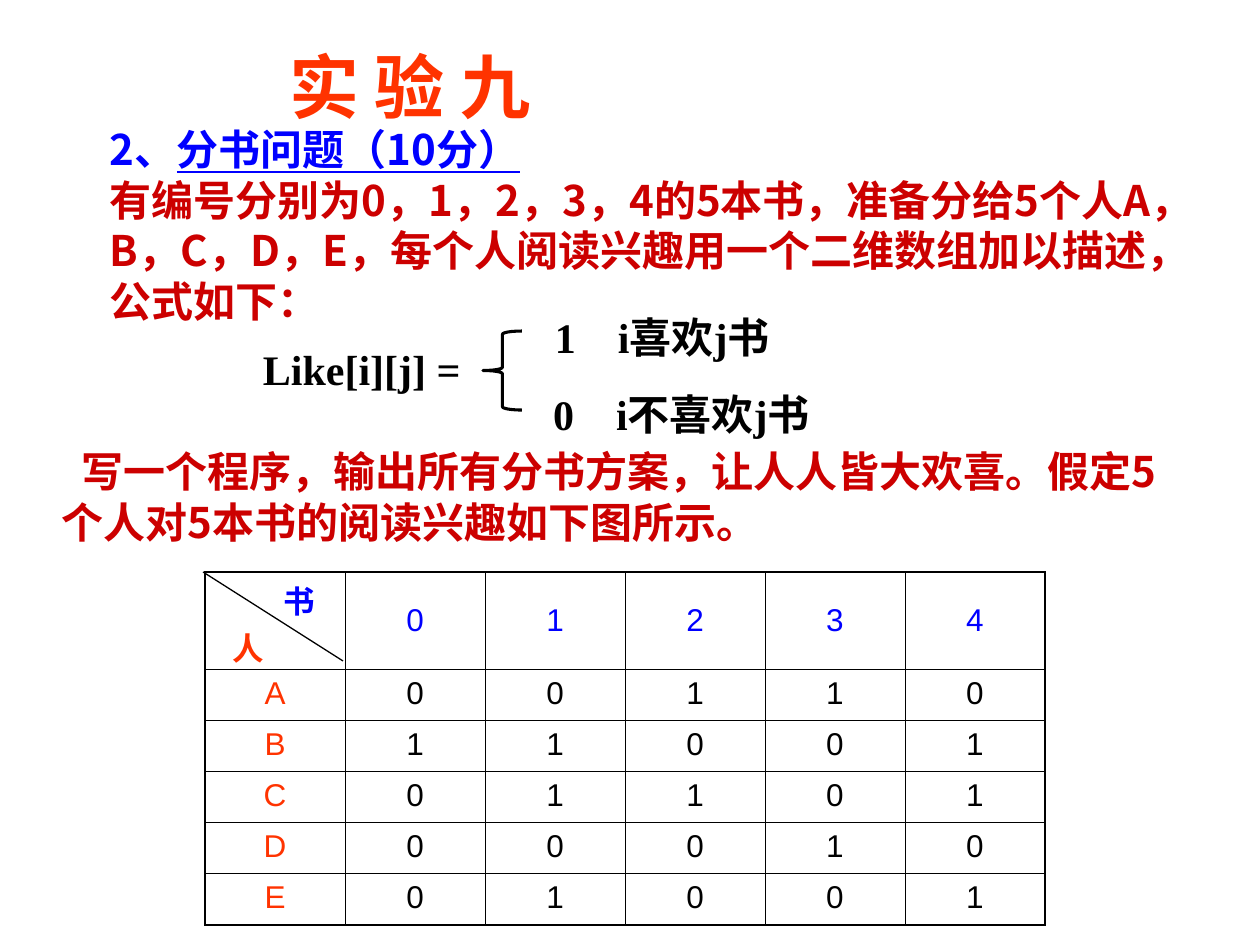
from dataclasses import dataclass
from typing import Any, NamedTuple

from lxml import etree
from pptx import Presentation
from pptx import util as u
from pptx.dml.color import RGBColor
from pptx.enum import shapes, text
from pptx.oxml.ns import qn

SCALE = 914400 / 126


@dataclass(frozen=True)
class Theme:
    """Colours, fonts and type sizes of the slide."""

    orange: str = "FF3300"
    blue: str = "0000FF"
    red: str = "CC0000"
    black: str = "000000"
    heading: str = "Noto Sans CJK SC"
    formula: str = "Times New Roman"
    grid: str = "Arial"
    title_size: int = 40
    body_size: int = 24
    cell_size: int = 18
    thin: float = 0.45
    thick: float = 1.08


T = Theme()


class Box(NamedTuple):
    """A rectangle in px."""

    x: int
    y: int
    w: int
    h: int


class Case(NamedTuple):
    """One branch of the formula."""

    box: Box
    words: str


CASES = [
    Case(Box(555, 311, 255, 52), "1\ti喜欢j书"),
    Case(Box(553, 388, 356, 52), "0\ti不喜欢j书"),
]
BOOKS = "01234"
LIKES = {"A": "00110", "B": "11001", "C": "01101", "D": "00010", "E": "01001"}


def px(n: float) -> u.Emu:
    """Turn px into EMU."""
    return u.Emu(round(n * SCALE))


def emus(box: Box) -> list[u.Emu]:
    """Turn every length of a box into EMU."""
    return [px(n) for n in box]


def add_run(p: Any, words: str, *, size: int = T.body_size, color: str = T.black,
            font: str = T.heading, bold: bool = True, underline: bool = False) -> None:
    """Add a formatted run to a paragraph."""
    r = p.add_run()
    r.text = words
    r.font.size, r.font.bold, r.font.underline = u.Pt(size), bold, underline
    r.font.name = font
    r.font.color.rgb = RGBColor.from_string(color)
    ea = etree.Element(qn("a:ea"), typeface=T.heading)
    r.font._element.find(qn("a:latin")).addnext(ea)


def set_paragraph(p: Any, *, line: float = 29, indent: int = 0, tab: int = 0,
                  before: float = 0, align: Any = text.PP_ALIGN.LEFT) -> None:
    """Set indent, tab stop, spacing and alignment of an unbulleted paragraph."""
    ppr = p._p.get_or_add_pPr()
    ppr.set("marL", "0")
    ppr.set("indent", str(px(indent)))
    etree.SubElement(ppr, qn("a:buNone"))
    if tab:
        tabs = etree.SubElement(ppr, qn("a:tabLst"))
        etree.SubElement(tabs, qn("a:tab"), pos=str(px(tab)), algn="l")
    p.line_spacing, p.space_before, p.alignment = u.Pt(line), u.Pt(before), align


def prepare_frame(sp: Any, box: Box) -> Any:
    """Place a text shape, clear its insets and return its text frame."""
    sp.left, sp.top, sp.width, sp.height = emus(box)
    tf = sp.text_frame
    tf.margin_left = tf.margin_right = tf.margin_top = tf.margin_bottom = 0
    tf.word_wrap, tf.auto_size = True, text.MSO_AUTO_SIZE.NONE
    tf.vertical_anchor = text.MSO_ANCHOR.TOP
    return tf


def add_text(parent: Any, box: Box, words: str, *, indent: int = 0, tab: int = 0,
             **fmt: Any) -> None:
    """Add a text box with one paragraph."""
    p = prepare_frame(parent.add_textbox(*emus(box)), box).paragraphs[0]
    set_paragraph(p, indent=indent, tab=tab)
    add_run(p, words, **fmt)


def fill_placeholders(s: Any) -> None:
    """Write the title and the problem statement."""
    p = prepare_frame(s.shapes.title, Box(289, 43, 500, 84)).paragraphs[0]
    set_paragraph(p, line=48)
    add_run(p, "实 验 九", size=T.title_size, color=T.orange)

    tf = prepare_frame(s.placeholders[1], Box(110, 123, 1092, 205))
    p = tf.paragraphs[0]
    set_paragraph(p)
    add_run(p, "2、", color=T.blue)
    add_run(p, "分书问题（10分）", color=T.blue, underline=True)
    p = tf.add_paragraph()
    set_paragraph(p)
    add_run(p, "有编号分别为0，1，2，3，4的5本书，准备分给5个人A，B，C，D，E，"
               "每个人阅读兴趣用一个二维数组加以描述，公式如下：", color=T.red)


def add_formula(s: Any) -> None:
    """Draw the grouped definition of Like[i][j]."""
    group = s.shapes.add_group_shape().shapes
    add_text(group, Box(263, 343, 215, 52), "Like[i][j] =", font=T.formula)
    brace = group.add_shape(shapes.MSO_SHAPE.LEFT_BRACE, *emus(Box(483, 331, 39, 79)))
    brace.shadow.inherit = False
    brace.fill.background()
    brace.line.color.rgb = RGBColor.from_string(T.black)
    brace.line.width = u.Pt(1.75)
    for case in CASES:
        add_text(group, case.box, case.words, tab=52, font=T.formula)


def set_borders(cell: Any, widths: dict[str, float]) -> None:
    """Draw the four borders of a cell."""
    tcpr = cell._tc.get_or_add_tcPr()
    for side, width in widths.items():
        ln = etree.SubElement(tcpr, qn(f"a:ln{side}"), w=str(u.Pt(width)))
        fill = etree.SubElement(ln, qn("a:solidFill"))
        etree.SubElement(fill, qn("a:srgbClr"), val=T.black)


def fill_corner(cell: Any) -> None:
    """Label the two axes in the corner cell."""
    cell.margin_left, cell.margin_right = px(27), px(30)
    cell.margin_top, cell.margin_bottom = px(12), 0
    p = cell.text_frame.paragraphs[0]
    set_paragraph(p, line=22, align=text.PP_ALIGN.RIGHT)
    add_run(p, "书", size=T.cell_size, color=T.blue, font=T.grid)
    p = cell.text_frame.add_paragraph()
    set_paragraph(p, line=22, before=5)
    add_run(p, "人", size=T.cell_size, color=T.orange, font=T.grid)


def add_likes_table(s: Any) -> None:
    """Draw the table of reading interests and its diagonal."""
    rows = ["", *BOOKS], *([who, *row] for who, row in LIKES.items())
    last_row, last_col = len(rows) - 1, len(BOOKS)
    table = s.shapes.add_table(len(rows), last_col + 1, *emus(Box(205, 572, 840, 350))).table
    table.first_row = table.horz_banding = False
    for i, row in enumerate(rows):
        table.rows[i].height = px(51 if i else 97)
        for j, value in enumerate(row):
            cell = table.cell(i, j)
            edges = {"L": j == 0, "R": j == last_col, "T": i == 0, "B": i == last_row}
            set_borders(cell, {k: T.thick if edge else T.thin for k, edge in edges.items()})
            cell.fill.background()
            if not value:
                fill_corner(cell)
                continue
            cell.vertical_anchor = text.MSO_ANCHOR.TOP if i else text.MSO_ANCHOR.MIDDLE
            p = cell.text_frame.paragraphs[0]
            p.alignment = text.PP_ALIGN.CENTER
            color = T.blue if i == 0 else T.orange if j == 0 else T.black
            add_run(p, value, size=T.cell_size, color=color, font=T.grid, bold=False)
    line = s.shapes.add_connector(shapes.MSO_CONNECTOR.STRAIGHT,
                                  px(203), px(572), px(343), px(661))
    line.line.color.rgb = RGBColor.from_string(T.black)
    line.line.width = u.Pt(0.75)
    etree.SubElement(line._element.spPr, qn("a:effectLst"))


def main() -> None:
    """Build and save the slide."""
    prs = Presentation()
    prs.slide_width, prs.slide_height = px(1260), px(945)
    s = prs.slides.add_slide(prs.slide_layouts[1])
    fill_placeholders(s)
    add_formula(s)
    add_text(s.shapes, Box(62, 445, 1135, 104),
             "写一个程序，输出所有分书方案，让人人皆大欢喜。假定5个人对5本书的阅读兴趣如下图所示。",
             indent=20, color=T.red)
    add_likes_table(s)
    prs.save("out.pptx")


if __name__ == "__main__":
    main()
